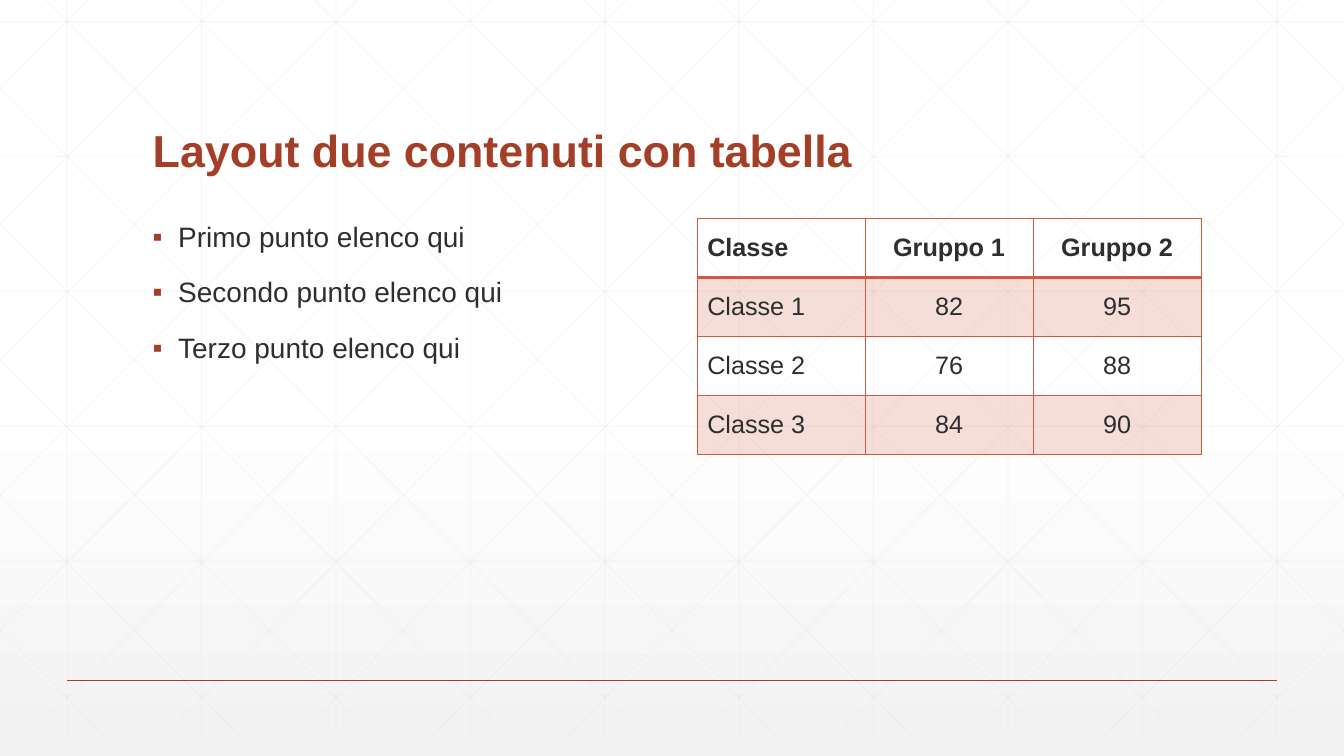
import pptx
import pptx.util
from lxml import etree
from pptx.dml.color import RGBColor
from pptx.enum.shapes import MSO_CONNECTOR
from pptx.enum.text import MSO_ANCHOR, PP_ALIGN
from pptx.oxml import parse_xml
from pptx.oxml.ns import nsdecls, qn
from pptx.util import Cm, Pt

# Content
TITLE = "Layout due contenuti con tabella"
BULLETS = ["Primo punto elenco qui", "Secondo punto elenco qui", "Terzo punto elenco qui"]
TABLE_ROWS = [
    ("Classe", "Gruppo 1", "Gruppo 2"),
    ("Classe 1", "82", "95"),
    ("Classe 2", "76", "88"),
    ("Classe 3", "84", "90"),
]

# Style
FONT = "Arial"
RUST = RGBColor(0xA4, 0x3F, 0x27)
ORANGE = RGBColor(0xD1, 0x5A, 0x3E)
INK = RGBColor(0x2D, 0x2E, 0x2D)
GRID = RGBColor(0xD9, 0xD9, 0xD9)
WHITE = RGBColor(0xFF, 0xFF, 0xFF)
PALE = RGBColor(0xF2, 0xF2, 0xF2)

# Measures in centimetres
WIDTH, HEIGHT = 33.87, 19.05
GRID_TOP, GRID_BOTTOM = -0.53, 18.52
COLUMN_STEP = WIDTH / 10
ROW_START, ROW_STEP = 0.54, 3.4
DIAGONAL_START, DIAGONAL_RUN = 0.63, 18.93
LEFT, CONTENT_TOP, CONTENT_WIDTH = 3.6, 5.5, 12.7
TABLE_LEFT, TABLE_ROW = 17.57, 1.49


def color_xml(color, opacity=100):
    return f'<a:srgbClr val="{color}"><a:alpha val="{opacity * 1000}"/></a:srgbClr>'


def set_opacity(color_parent, opacity):
    color = next(color_parent.iter(qn("a:srgbClr")))
    etree.SubElement(color, qn("a:alpha")).set("val", str(opacity * 1000))


def add_line(shapes, start, end, color, width):
    line = shapes.add_connector(MSO_CONNECTOR.STRAIGHT, *map(Cm, start + end))
    line.line.color.rgb = color
    line.line.width = Pt(width)
    etree.SubElement(line._element.spPr, qn("a:effectLst"))
    return line


def format_text(paragraph, size, color, bold=False):
    for run in paragraph.runs:
        run.font.name, run.font.size, run.font.bold = FONT, Pt(size), bold
        run.font.color.rgb = color


def add_background(slide):
    fill = slide.background.fill
    fill.gradient()
    fill.gradient_angle = 270
    stops = [(0, WHITE, 100), (53, WHITE, 100), (100, PALE, 65)]
    stop_list = next(slide._element.iter(qn("a:gsLst")))
    for stop in list(stop_list):
        stop_list.remove(stop)
    for position, color, opacity in stops:
        stop_list.append(parse_xml(
            f'<a:gs {nsdecls("a")} pos="{position * 1000}">{color_xml(color, opacity)}</a:gs>'))


def grid_lines():
    for column in range(10):
        x = (column + 0.5) * COLUMN_STEP
        yield (x, GRID_TOP), (x, GRID_BOTTOM)
    for row in range(6):
        y = ROW_START + row * ROW_STEP
        yield (0, y), (WIDTH, y)
    # Diagonals are cut at the slide's sides, then mirrored
    slope = (GRID_BOTTOM - GRID_TOP) / DIAGONAL_RUN
    for step in range(-5, 10):
        x = DIAGONAL_START + step * COLUMN_STEP
        x1, x2 = max(x, 0), min(x + DIAGONAL_RUN, WIDTH)
        y1, y2 = (GRID_TOP + (edge - x) * slope for edge in (x1, x2))
        yield (x1, y1), (x2, y2)
        yield (WIDTH - x1, y1), (WIDTH - x2, y2)


def add_title(slide):
    box = slide.shapes.add_textbox(Cm(LEFT), Cm(1.4), Cm(26.67), Cm(3.18))
    frame = box.text_frame
    frame.word_wrap = True
    frame.vertical_anchor = MSO_ANCHOR.BOTTOM
    frame.text = TITLE
    frame.paragraphs[0].line_spacing = 0.9
    format_text(frame.paragraphs[0], 32, RUST, bold=True)


def add_bullets(slide):
    box = slide.shapes.add_textbox(Cm(LEFT), Cm(CONTENT_TOP), Cm(CONTENT_WIDTH), Cm(10.6))
    frame = box.text_frame
    frame.word_wrap = True
    frame.text = "\n".join(BULLETS)
    for index, paragraph in enumerate(frame.paragraphs):
        properties = paragraph._p.get_or_add_pPr()
        properties.set("marL", str(Cm(0.64)))
        properties.set("indent", str(-Cm(0.64)))
        for bullet in (f'<a:buClr {nsdecls("a")}>{color_xml(RUST)}</a:buClr>',
                       f'<a:buFont {nsdecls("a")} typeface="{FONT}"/>',
                       f'<a:buChar {nsdecls("a")} char="▪"/>'):
            properties.append(parse_xml(bullet))
        paragraph.line_spacing = 0.9
        if index:
            paragraph.space_before = Pt(18)
        format_text(paragraph, 20, INK)


def set_borders(cell, top, bottom):
    widths = [("lnL", 1), ("lnR", 1), ("lnT", top), ("lnB", bottom)]
    for index, (side, width) in enumerate(widths):
        cell._tc.get_or_add_tcPr().insert(index, parse_xml(
            f'<a:{side} {nsdecls("a")} w="{Pt(width)}"><a:solidFill>'
            f'{color_xml(ORANGE)}</a:solidFill></a:{side}>'))


def add_class_table(slide):
    rows, columns = len(TABLE_ROWS), len(TABLE_ROWS[0])
    table = slide.shapes.add_table(
        rows, columns, Cm(TABLE_LEFT), Cm(CONTENT_TOP),
        Cm(CONTENT_WIDTH), Cm(rows * TABLE_ROW)).table
    table.first_row = table.horz_banding = False
    for row, values in enumerate(TABLE_ROWS):
        for column, value in enumerate(values):
            cell = table.cell(row, column)
            cell.text = value
            cell.vertical_anchor = MSO_ANCHOR.MIDDLE
            paragraph = cell.text_frame.paragraphs[0]
            paragraph.alignment = PP_ALIGN.CENTER if column else PP_ALIGN.LEFT
            format_text(paragraph, 18, INK, bold=row == 0)
            if row % 2:
                cell.fill.solid()
                cell.fill.fore_color.rgb = ORANGE
                set_opacity(cell._tc.tcPr, 20)
            else:
                cell.fill.background()
            set_borders(cell, top=2 if row == 1 else 1, bottom=2 if row == 0 else 1)


def main():
    presentation = pptx.Presentation()
    presentation.slide_width, presentation.slide_height = Cm(WIDTH), Cm(HEIGHT)
    slide = presentation.slides.add_slide(presentation.slide_layouts[6])

    # Backdrop
    add_background(slide)
    grid = slide.shapes.add_group_shape()
    for start, end in grid_lines():
        line = add_line(grid.shapes, start, end, GRID, 0.5)
        set_opacity(line._element.spPr, 25)
    add_line(slide.shapes, (WIDTH * 0.05, 17.15), (WIDTH * 0.95, 17.15), RUST, 1)

    # Content
    add_title(slide)
    add_bullets(slide)
    add_class_table(slide)
    presentation.save("out.pptx")


if __name__ == "__main__":
    main()
